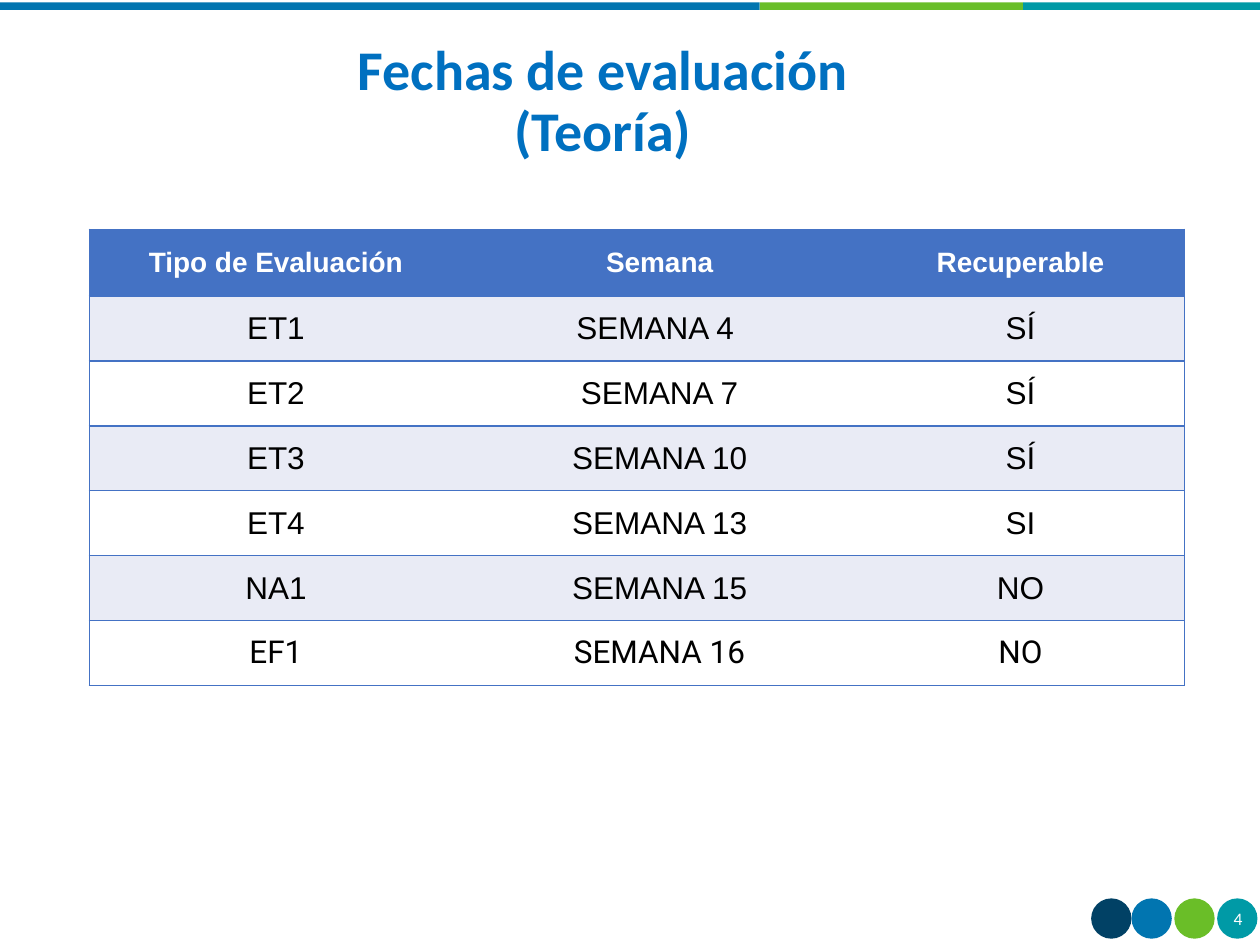
from lxml import etree
from pptx import Presentation
from pptx import util as u
from pptx.dml.color import RGBColor
from pptx.enum import shapes, text
from pptx.oxml import ns

COLORS = {
    "navy": "014165", "blue": "0175B0", "green": "6ABE28", "teal": "009AA6",
    "title": "0070C0", "header": "4472C4", "band": "E9EBF5",
    "white": "FFFFFF", "black": "000000",
}


def format_text(text_frame, font_name, size, color, bold=False):
    text_frame.vertical_anchor = text.MSO_ANCHOR.MIDDLE
    for paragraph in text_frame.paragraphs:
        paragraph.alignment = text.PP_ALIGN.CENTER
        for run in paragraph.runs:
            run.font.name = font_name
            run.font.size = u.Pt(size)
            run.font.bold = bold
            run.font.color.rgb = RGBColor.from_string(COLORS[color])


def add_plain_shape(kind, left, top, width, height, color):
    shape = slide.shapes.add_shape(
        kind, u.Inches(left), u.Inches(top), u.Inches(width), u.Inches(height))
    shape.shadow.inherit = False
    shape.fill.solid()
    shape.fill.fore_color.rgb = RGBColor.from_string(COLORS[color])
    shape.line.fill.background()


presentation = Presentation()
presentation.slide_width = u.Inches(10)
presentation.slide_height = u.Inches(7.5)
slide = presentation.slides.add_slide(presentation.slide_layouts[6])

# Top stripe
stripe_edges = [0, 6.03, 8.12, 10]
for left, right, color in zip(stripe_edges, stripe_edges[1:], ["blue", "green", "teal"]):
    add_plain_shape(shapes.MSO_SHAPE.RECTANGLE, left, 0.02, right - left, 0.06, color)

# Footer dots and slide number
for left, color in [(8.66, "navy"), (8.98, "blue"), (9.32, "green"), (9.66, "teal")]:
    add_plain_shape(shapes.MSO_SHAPE.FLOWCHART_CONNECTOR, left, 7.13, 0.32, 0.32, color)

number_box = slide.shapes.add_textbox(
    u.Inches(9.63), u.Inches(7.13), u.Inches(0.39), u.Inches(0.32))
number_frame = number_box.text_frame
number_frame.word_wrap = True
number_frame.margin_left = number_frame.margin_right = 0
number_frame.margin_top = number_frame.margin_bottom = 0
number_frame.text = "4"
format_text(number_frame, "Calibri", 10, "white")

# Evaluation table
rows = [
    ("Tipo de Evaluación", "Semana", "Recuperable"),
    ("ET1", "SEMANA 4 ", "SÍ"),
    ("ET2", "SEMANA 7", "SÍ"),
    ("ET3", "SEMANA 10", "SÍ"),
    ("ET4", "SEMANA 13", "SI"),
    ("NA1", "SEMANA 15", "NO"),
    ("EF1", "SEMANA 16", "NO"),
]
column_widths = [2.96, 3.13, 2.6]
last_row, last_column = len(rows) - 1, len(column_widths) - 1
table = slide.shapes.add_table(
    len(rows), len(column_widths),
    u.Inches(0.71), u.Inches(1.82), u.Inches(8.69), u.Inches(3.62)).table
table.horz_banding = False
for column, width in zip(table.columns, column_widths):
    column.width = u.Inches(width)

for row_index, row in enumerate(rows):
    is_header = row_index == 0
    table.rows[row_index].height = u.Inches(0.53 if is_header else 3.09 / last_row)
    fill = "header" if is_header else "band" if row_index % 2 else "white"
    for column_index, value in enumerate(row):
        cell = table.cell(row_index, column_index)
        cell.text = value
        cell.vertical_anchor = text.MSO_ANCHOR.MIDDLE
        cell.fill.solid()
        cell.fill.fore_color.rgb = RGBColor.from_string(COLORS[fill])
        if is_header:
            format_text(cell.text_frame, "Arial", 16, "white", bold=True)
        else:
            font_name = "Roboto" if row_index == last_row else "Arial"
            format_text(cell.text_frame, font_name, 18, "black")

        # Horizontal rules and outer frame, no inner vertical rules
        borders = {"lnL": column_index == 0, "lnR": column_index == last_column,
                   "lnT": True, "lnB": True}
        properties = cell._tc.get_or_add_tcPr()
        for position, (tag, visible) in enumerate(borders.items()):
            line = etree.Element(ns.qn("a:" + tag), w=str(u.Pt(1)))
            properties.insert(position, line)
            if visible:
                line_fill = etree.SubElement(line, ns.qn("a:solidFill"))
                etree.SubElement(line_fill, ns.qn("a:srgbClr"), val=COLORS["header"])
            else:
                etree.SubElement(line, ns.qn("a:noFill"))

# Title
title_box = slide.shapes.add_textbox(
    u.Inches(1.5), u.Inches(0.27), u.Inches(6.57), u.Inches(1.09))
title_frame = title_box.text_frame
title_frame.word_wrap = True
title_frame.text = "Fechas de evaluación\n(Teoría)"
format_text(title_frame, "Calibri", 32, "title", bold=True)
for paragraph in title_frame.paragraphs:
    paragraph.line_spacing = 0.9

presentation.save("out.pptx")
